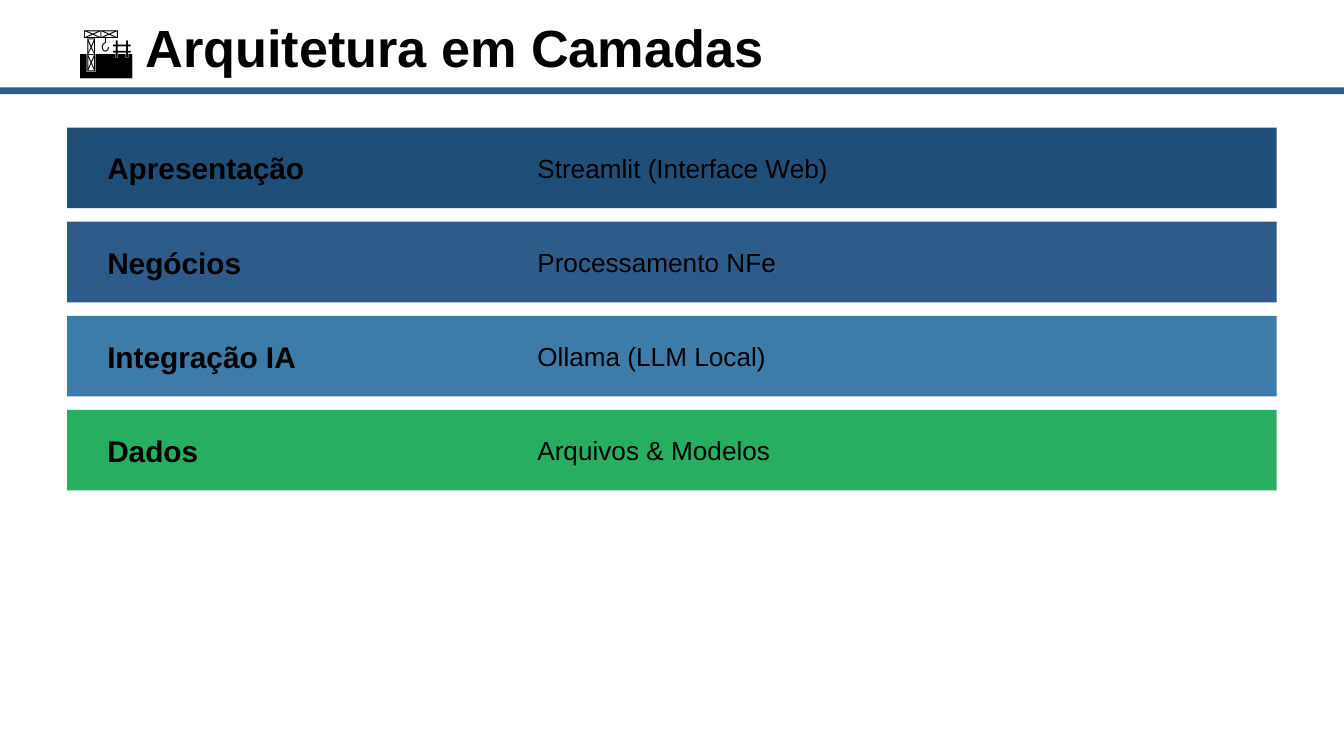
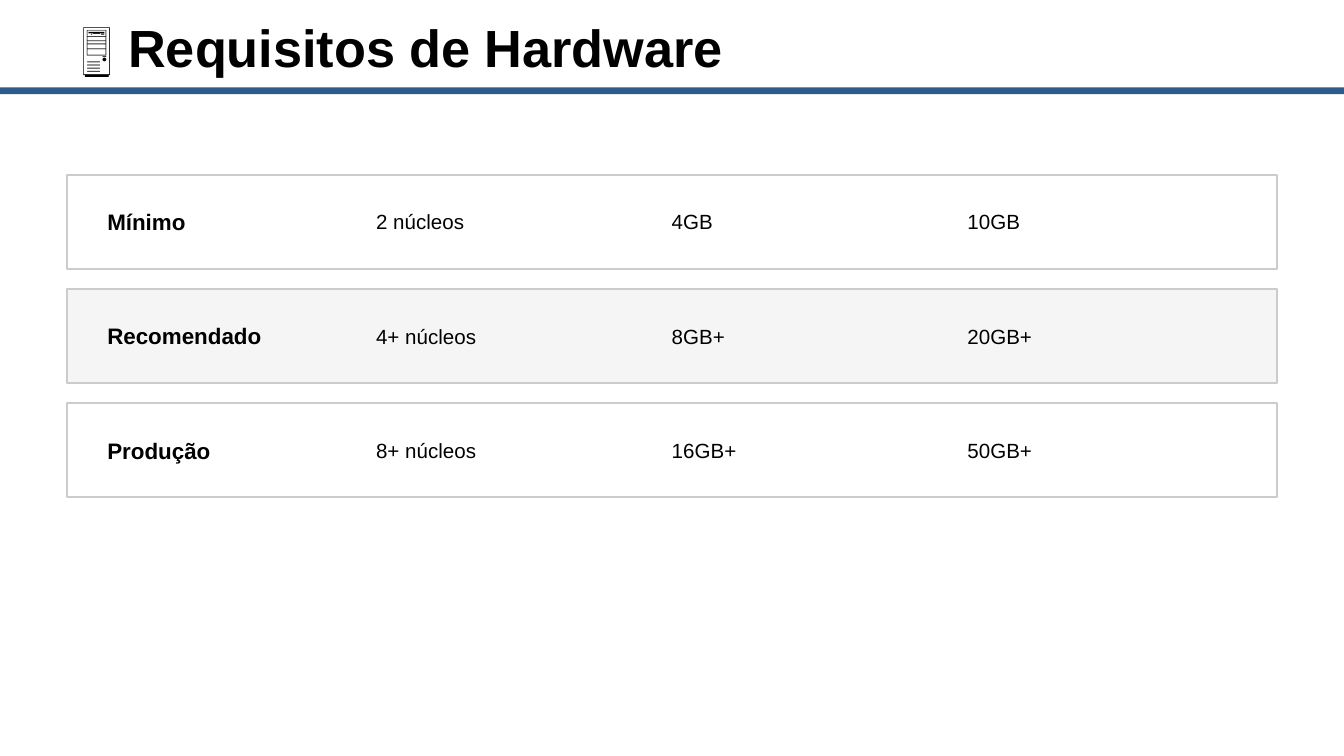
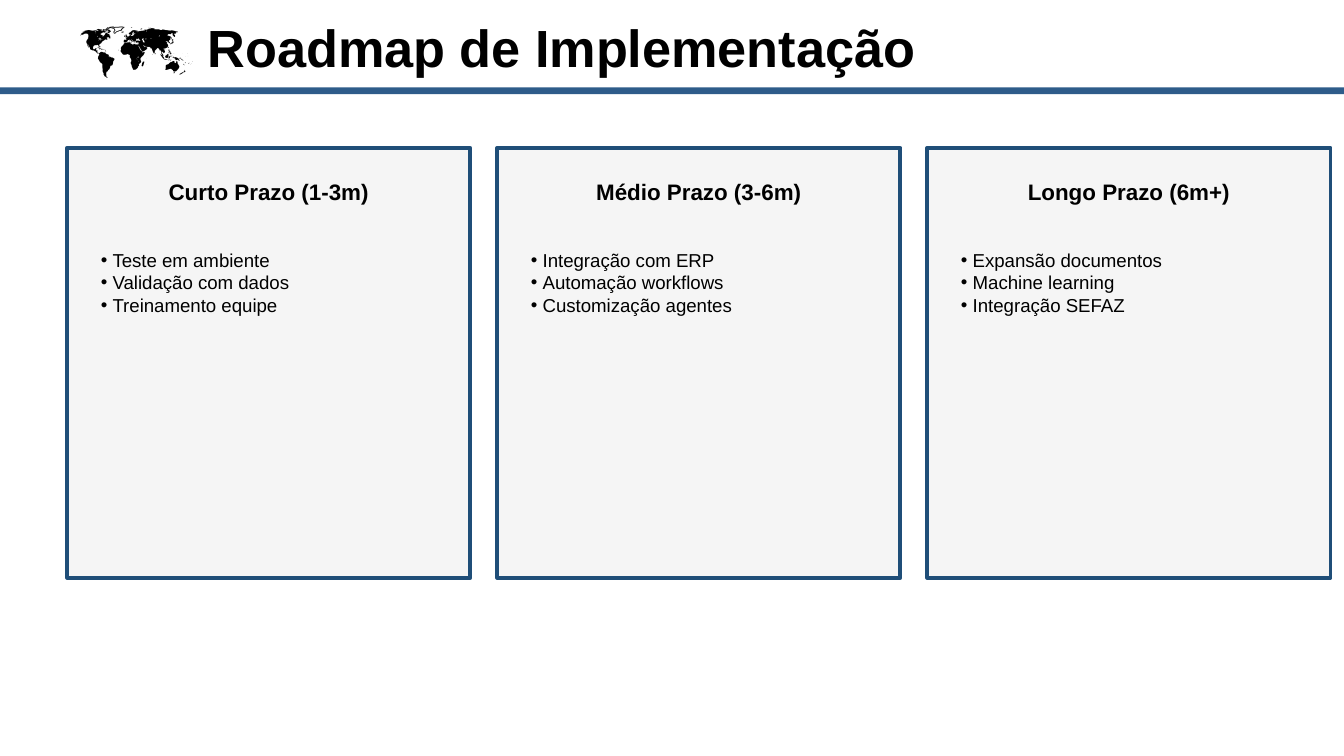
from lxml.etree import SubElement
from pptx import Presentation
from pptx.dml.color import RGBColor
from pptx.enum.shapes import MSO_SHAPE
from pptx.enum.text import MSO_ANCHOR as Anchor, MSO_AUTO_SIZE as AutoSize, PP_ALIGN as Align
from pptx.oxml.ns import qn
from pptx.util import Pt

FONT = "Arial"
BLACK, WHITE, PALE, GREY = "000000", "FFFFFF", "F5F5F5", "CCCCCC"
NAVY, BLUE, SKY, GREEN = "1F4E78", "2E5C8A", "3D7BA8", "27AE60"

SLIDE_WIDTH, SLIDE_HEIGHT = 720, 405
MARGIN = 36
CONTENT_WIDTH = SLIDE_WIDTH - 2 * MARGIN
TITLE_ONLY, COMPARISON = 5, 4
BULLET_INDENT = 6.3

LAYERS_TITLE = "🏗️ Arquitetura em Camadas"
LAYERS = [
    (NAVY, ("Apresentação", "Streamlit (Interface Web)")),
    (BLUE, ("Negócios", "Processamento NFe")),
    (SKY, ("Integração IA", "Ollama (LLM Local)")),
    (GREEN, ("Dados", "Arquivos & Modelos")),
]
LAYER_COLUMNS = [(50.4, 216), (280.8, 403.2)]

HARDWARE_TITLE = "🖥️ Requisitos de Hardware"
HARDWARE = [
    (WHITE, ("Mínimo", "2 núcleos", "4GB", "10GB")),
    (PALE, ("Recomendado", "4+ núcleos", "8GB+", "20GB+")),
    (WHITE, ("Produção", "8+ núcleos", "16GB+", "50GB+")),
]
HARDWARE_COLUMNS = [(50.4, 129.6), (194.4, 144), (352.8, 144), (511.2, 172.8)]

ROADMAP_TITLE = "🗺️ Roadmap de Implementação"
ROADMAP = [
    ("Curto Prazo (1-3m)", ["Teste em ambiente", "Validação com dados", "Treinamento equipe"]),
    ("Médio Prazo (3-6m)", ["Integração com ERP", "Automação workflows", "Customização agentes"]),
    ("Longo Prazo (6m+)", ["Expansão documentos", "Machine learning", "Integração SEFAZ"]),
]


def color(hex_string):
    return RGBColor.from_string(hex_string)


def place(shape, left, top, width, height):
    shape.left, shape.top, shape.width, shape.height = map(Pt, (left, top, width, height))


def add_bullet(paragraph):
    properties = paragraph._p.get_or_add_pPr()
    properties.set("marL", str(Pt(BULLET_INDENT)))
    properties.set("indent", str(-Pt(BULLET_INDENT)))
    SubElement(properties, qn("a:buFont")).set("typeface", FONT)
    SubElement(properties, qn("a:buChar")).set("char", "•")


def write(shape, *lines, size, bold=False, align=Align.LEFT, anchor=Anchor.MIDDLE, bullets=False):
    """Fill a text box or placeholder with one paragraph per line."""
    frame = shape.text_frame
    frame.word_wrap = True
    frame.auto_size = AutoSize.NONE
    frame.vertical_anchor = anchor
    for index, line in enumerate(lines):
        paragraph = frame.add_paragraph() if index else frame.paragraphs[0]
        if bullets:
            add_bullet(paragraph)
        paragraph.alignment = align
        paragraph.space_before = Pt(0)
        run = paragraph.add_run()
        run.text = line
        run.font.name, run.font.size, run.font.bold = FONT, Pt(size), bold
        run.font.color.rgb = color(BLACK)


def add_text(slide, box, *lines, **text_format):
    write(slide.shapes.add_textbox(*map(Pt, box)), *lines, **text_format)


def add_rectangle(slide, box, fill, line=None, line_width=1):
    rectangle = slide.shapes.add_shape(MSO_SHAPE.RECTANGLE, *map(Pt, box))
    rectangle.shadow.inherit = False
    rectangle.fill.solid()
    rectangle.fill.fore_color.rgb = color(fill)
    if line:
        rectangle.line.color.rgb = color(line)
        rectangle.line.width = Pt(line_width)
    else:
        rectangle.line.fill.background()


def add_titled_slide(presentation, title, layout=TITLE_ONLY):
    slide = presentation.slides.add_slide(presentation.slide_layouts[layout])
    add_rectangle(slide, (0, 46.8, SLIDE_WIDTH, 3.6), BLUE)
    place(slide.shapes.title, MARGIN, 7.2, CONTENT_WIDTH, 36)
    write(slide.shapes.title, title, size=28, bold=True)
    return slide


def add_rows(slide, rows, columns, top, height, gap, text_height, sizes, line=None):
    """Stack full-width bars, each with a bold label and plain values."""
    label_size, value_size = sizes
    for row, (fill, cells) in enumerate(rows):
        row_top = top + row * (height + gap)
        text_top = row_top + (height - text_height) / 2
        add_rectangle(slide, (MARGIN, row_top, CONTENT_WIDTH, height), fill, line)
        for column, (text, (left, width)) in enumerate(zip(cells, columns)):
            add_text(slide, (left, text_top, width, text_height), text,
                     size=value_size if column else label_size, bold=column == 0)


def add_roadmap(slide):
    top, width, height, gap = 79.2, 216, 230.4, 14.4
    first, second, third, spare = [p for p in slide.placeholders if 1 <= p.placeholder_format.idx <= 4]
    spare.element.getparent().remove(spare.element)
    for index, ((heading, tasks), body) in enumerate(zip(ROADMAP, (first, second, third))):
        left = MARGIN + index * (width + gap)
        add_rectangle(slide, (left, top, width, height), PALE, NAVY, 2)
        add_text(slide, (left + 7.2, top + 7.2, width - 14.4, 32.4), heading,
                 size=12, bold=True, align=Align.CENTER)
        place(body, left + 10.8, top + 50.4, width - 21.6, 165.6)
        write(body, *tasks, size=10, anchor=Anchor.TOP, bullets=True)
        body.element.getparent().append(body.element)  # in front of its panel


def main():
    presentation = Presentation()
    presentation.slide_width, presentation.slide_height = Pt(SLIDE_WIDTH), Pt(SLIDE_HEIGHT)
    add_rows(add_titled_slide(presentation, LAYERS_TITLE), LAYERS, LAYER_COLUMNS,
             top=68.4, height=43.2, gap=7.2, text_height=32.4, sizes=(16, 14))
    add_rows(add_titled_slide(presentation, HARDWARE_TITLE), HARDWARE, HARDWARE_COLUMNS,
             top=93.6, height=50.4, gap=10.8, text_height=28.8, sizes=(12, 11), line=GREY)
    add_roadmap(add_titled_slide(presentation, ROADMAP_TITLE, COMPARISON))
    presentation.save("out.pptx")


if __name__ == "__main__":
    main()
